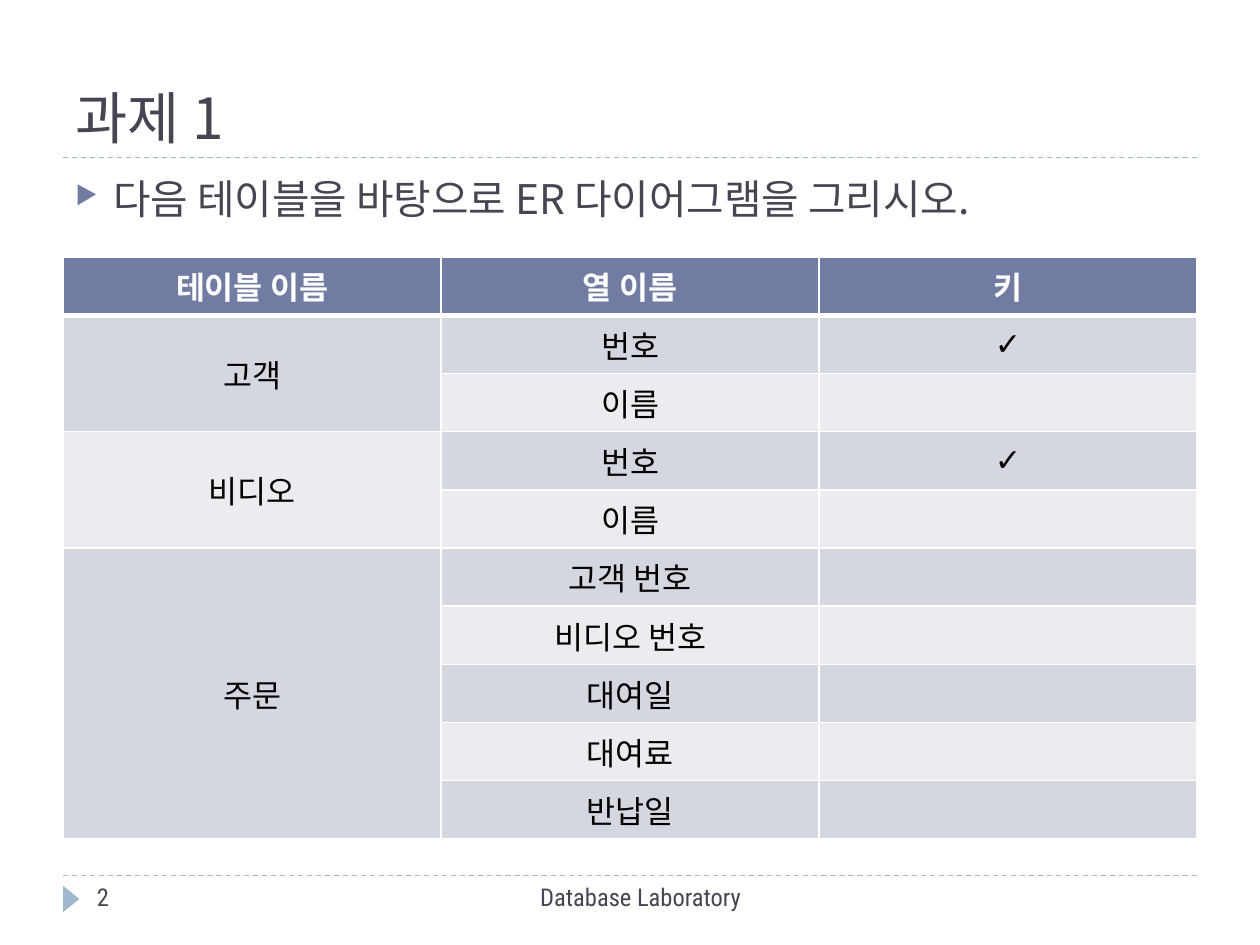
from dataclasses import dataclass

from lxml.etree import SubElement
from pptx import Presentation
from pptx.dml.color import RGBColor as Color
from pptx.enum.dml import MSO_LINE as Dash
from pptx.enum.shapes import MSO_CONNECTOR as Connector, MSO_SHAPE as Preset
from pptx.enum.text import MSO_ANCHOR as Anchor, PP_ALIGN as Align
from pptx.oxml.ns import qn
from pptx.util import Inches, Pt


@dataclass(frozen=True)
class Theme:
    """Colours, fonts and type sizes of the slide."""
    ink: str = "464653"
    black: str = "000000"
    white: str = "FFFFFF"
    accent: str = "727CA3"
    rule: str = "9FB8CD"
    bands: tuple = ("D5D7E0", "EBECF0")
    korean: str = "Noto Sans CJK KR"
    symbol: str = "Calibri"
    small: str = "Roboto Condensed"
    title_size: float = 32.4
    body_size: float = 23.3
    bullet_percent: int = 62
    cell_size: int = 18
    footer_size: int = 14


THEME = Theme()
CHECK = "✓"
HEADERS = ("테이블 이름", "열 이름", "키")
TABLES = (
    ("고객", (("번호", CHECK), ("이름", ""))),
    ("비디오", (("번호", CHECK), ("이름", ""))),
    ("주문", (("고객 번호", ""), ("비디오 번호", ""), ("대여일", ""),
            ("대여료", ""), ("반납일", ""))),
)


def write(frame, text, size, color=THEME.ink, font=THEME.korean,
          align=Align.LEFT, bold=False):
    """Put one formatted paragraph in a text frame and return it."""
    frame.text = text
    para = frame.paragraphs[0]
    para.alignment = align
    for span in para.runs:
        span.font.size = Pt(size)
        span.font.bold = bold
        span.font.color.rgb = Color.from_string(color)
        span.font.name = font
        SubElement(span.font._element, qn("a:ea"), typeface=font)
    return para


def add_text(page, text, left, top, width, height, size,
             anchor=Anchor.TOP, **style):
    """Add a wrapping text box and return its paragraph."""
    box = page.shapes.add_textbox(Inches(left), Inches(top), Inches(width), Inches(height))
    box.text_frame.word_wrap = True
    box.text_frame.vertical_anchor = anchor
    return write(box.text_frame, text, size, **style)


def add_bullet(para):
    """Give a paragraph a coloured arrow bullet with a hanging indent."""
    para.space_before = Pt(6)
    props = para._p.get_or_add_pPr()
    props.set("marL", str(Inches(0.3)))
    props.set("indent", str(-Inches(0.3)))
    SubElement(SubElement(props, qn("a:buClr")), qn("a:srgbClr"), val=THEME.accent)
    SubElement(props, qn("a:buSzPct"), val=str(THEME.bullet_percent * 1000))
    SubElement(props, qn("a:buChar"), char="▶")


def add_rule(page, top):
    """Add a dashed rule across the slide."""
    rule = page.shapes.add_connector(
        Connector.STRAIGHT, Inches(0.5), Inches(top), Inches(9.5), Inches(top))
    rule.line.color.rgb = Color.from_string(THEME.rule)
    rule.line.width = Pt(0.75)
    rule.line.dash_style = Dash.DASH
    SubElement(rule._element.spPr, qn("a:effectLst"))


def add_marker(page):
    """Add the triangle beside the page number."""
    marker = page.shapes.add_shape(
        Preset.ISOSCELES_TRIANGLE, Inches(0.46), Inches(7.07), Inches(0.21), Inches(0.13))
    marker.rotation = 90
    marker.shadow.inherit = False
    marker.fill.solid()
    marker.fill.fore_color.rgb = Color.from_string(THEME.rule)
    marker.line.fill.background()


def style_cell(cell, fill, top=1, bottom=1):
    """Set the white borders and then the fill of a cell."""
    props = cell._tc.get_or_add_tcPr()
    for side, width in (("L", 1), ("R", 1), ("T", top), ("B", bottom)):
        line = SubElement(props, qn(f"a:ln{side}"), w=str(Pt(width)))
        SubElement(SubElement(line, qn("a:solidFill")), qn("a:srgbClr"), val=THEME.white)
    cell.fill.solid()
    cell.fill.fore_color.rgb = Color.from_string(fill)


def fill_cell(cell, text):
    """Write centred body text in a cell."""
    font = THEME.symbol if text == CHECK else THEME.korean
    write(cell.text_frame, text, THEME.cell_size, THEME.black, font, Align.CENTER)
    cell.vertical_anchor = Anchor.MIDDLE


def add_schema(page):
    """Add the table that lists the columns and keys of each relation."""
    count = 1 + sum(len(columns) for _, columns in TABLES)
    grid = page.shapes.add_table(
        count, len(HEADERS), Inches(0.5), Inches(2.04), Inches(9), Inches(4.62)).table
    for index, header in enumerate(HEADERS):
        cell = grid.cell(0, index)
        style_cell(cell, THEME.accent, bottom=3)
        write(cell.text_frame, header, THEME.cell_size, THEME.white,
              align=Align.CENTER, bold=True)
    row = 1
    for group, (name, columns) in enumerate(TABLES):
        first = row
        for column, key in columns:
            band = THEME.bands[(row - 1) % 2]
            top = 3 if row == 1 else 1
            for index, fill in enumerate((THEME.bands[group % 2], band, band)):
                style_cell(grid.cell(row, index), fill, top=top)
            fill_cell(grid.cell(row, 1), column)
            fill_cell(grid.cell(row, 2), key)
            row += 1
        grid.cell(first, 0).merge(grid.cell(row - 1, 0))
        fill_cell(grid.cell(first, 0), name)


def main():
    """Build and save the slide."""
    deck = Presentation()
    deck.slide_width, deck.slide_height = Inches(10), Inches(7.5)
    page = deck.slides.add_slide(deck.slide_layouts[6])
    add_rule(page, 6.95)
    add_rule(page, 1.25)
    add_marker(page)
    add_bullet(add_text(page, "다음 테이블을 바탕으로 ER 다이어그램을 그리시오.",
                        0.5, 1.33, 9, 5.4, THEME.body_size))
    add_text(page, "과제 1", 0.5, 0.17, 9, 1.08, THEME.title_size, Anchor.BOTTOM)
    add_text(page, "Database Laboratory", 3.17, 6.95, 3.83, 0.4, THEME.footer_size,
             font=THEME.small, align=Align.CENTER)
    add_text(page, "2", 0.67, 6.95, 2.17, 0.4, THEME.footer_size, font=THEME.small)
    add_schema(page)
    deck.save("out.pptx")


if __name__ == "__main__":
    main()
